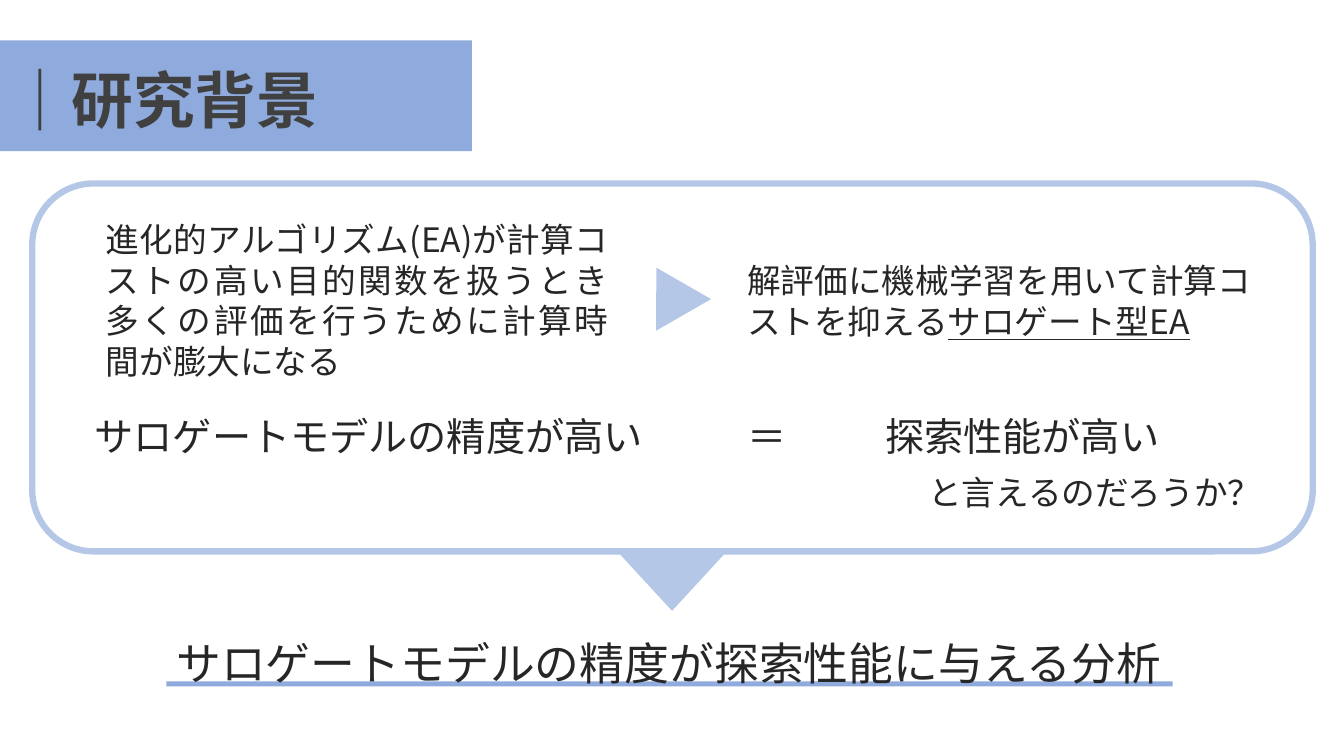
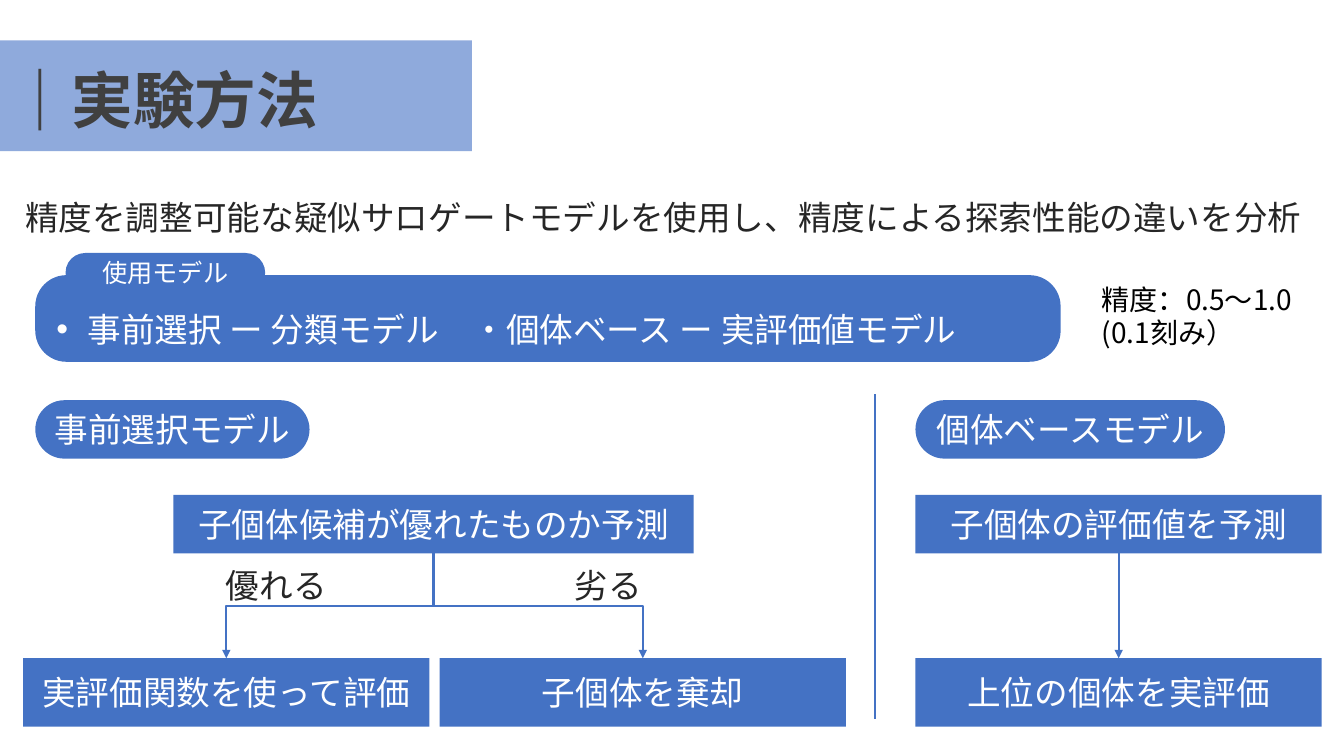
from lxml.etree import SubElement
from pptx import Presentation
from pptx.dml.color import RGBColor
from pptx.enum.shapes import MSO_CONNECTOR, MSO_SHAPE
from pptx.enum.text import MSO_ANCHOR, MSO_AUTO_SIZE, PP_ALIGN
from pptx.oxml.ns import qn
from pptx.util import Inches, Pt

FONT = "Noto Sans CJK JP"
COLORS = {
    "band": "8FAADC",
    "pale": "B4C7E7",
    "box": "4472C4",
    "title": "404040",
    "text": "262626",
    "black": "000000",
    "white": "FFFFFF",
}
COLUMNS, ROWS = 133.3, 75
CELL = Inches(0.1)
BOTTOM_SITE, TOP_SITE = 2, 0


def cells(*counts):
    return [round(count * CELL) for count in counts]


def rgb(name):
    return RGBColor.from_string(COLORS[name])


class Deck:
    def __init__(self):
        self.presentation = Presentation()
        self.presentation.slide_width, self.presentation.slide_height = cells(COLUMNS, ROWS)
        self.slide = None

    def new_slide(self, title):
        self.slide = self.presentation.slides.add_slide(self.presentation.slide_layouts[6])
        self.shape(MSO_SHAPE.RECTANGLE, (0, 4, 46.8, 11), "band")
        self.text((0, 4.8, 33.1, 11), title, 44, "title", align=PP_ALIGN.JUSTIFY,
                  spacing=0.9, anchor=MSO_ANCHOR.MIDDLE, bold=True, wrap=True, grow=False)

    def shape(self, kind, area, fill=None, line=None, rotation=0, corner=None):
        shape = self.slide.shapes.add_shape(kind, *cells(*area))
        shape.shadow.inherit = False
        shape.rotation = rotation
        if corner is not None:
            shape.adjustments[0] = corner
        if fill:
            shape.fill.solid()
            shape.fill.fore_color.rgb = rgb(fill)
        else:
            shape.fill.background()
        if line:
            shape.line.color.rgb = rgb(line)
            shape.line.width = Pt(4.5)
        else:
            shape.line.fill.background()
        return shape

    def style_run(self, run, size, color, bold=False, underline=None):
        run.font.size = Pt(size)
        run.font.bold = bold
        run.font.underline = underline
        run.font.name = FONT
        run.font.color.rgb = rgb(color)
        SubElement(run.font._element, qn("a:ea")).set("typeface", FONT)

    def put_text(self, shape, text, size, color, align=PP_ALIGN.LEFT, spacing=None,
                 anchor=MSO_ANCHOR.TOP, margins=(1, 0.5, 1, 0.5), bold=False):
        frame = shape.text_frame
        frame.text = text
        frame.vertical_anchor = anchor
        (frame.margin_left, frame.margin_top,
         frame.margin_right, frame.margin_bottom) = cells(*margins)
        for paragraph in frame.paragraphs:
            paragraph.alignment = align
            paragraph.line_spacing = spacing
            for run in paragraph.runs:
                self.style_run(run, size, color, bold)

    def text(self, area, text, size, color="text", wrap=False, grow=True, **style):
        shape = self.slide.shapes.add_textbox(*cells(*area))
        self.put_text(shape, text, size, color, **style)
        shape.text_frame.word_wrap = wrap
        shape.text_frame.auto_size = (
            MSO_AUTO_SIZE.SHAPE_TO_FIT_TEXT if grow else MSO_AUTO_SIZE.NONE)
        return shape

    def body(self, area, text, underlined=""):
        shape = self.text(area, text, 24, wrap=True, align=PP_ALIGN.JUSTIFY,
                          spacing=Pt(29), margins=(0, 0, 0, 0))
        if underlined:
            run = shape.text_frame.paragraphs[0].add_run()
            run.text = underlined
            self.style_run(run, 24, "text", underline=True)

    def box(self, area, text, size=24, corner=0, margins=(1, 0.5, 1, 0.5)):
        kind = MSO_SHAPE.ROUNDED_RECTANGLE if corner else MSO_SHAPE.RECTANGLE
        shape = self.shape(kind, area, "box", corner=corner or None)
        self.put_text(shape, text, size, "white", align=PP_ALIGN.CENTER,
                      anchor=MSO_ANCHOR.MIDDLE, margins=margins)
        return shape

    def pill(self, area, text):
        return self.box(area, text, corner=0.5, margins=(1, 1.2, 1, 1.2))

    def bullet_box(self, area, text):
        shape = self.shape(MSO_SHAPE.ROUNDED_RECTANGLE, area, "box", corner=0.36)
        self.put_text(shape, text, 24, "white", spacing=1.5,
                      anchor=MSO_ANCHOR.MIDDLE, margins=(1.2, 0, 0, 0))
        properties = shape.text_frame.paragraphs[0]._element.get_or_add_pPr()
        indent = Inches(0.31)
        properties.set("marL", str(indent))
        properties.set("indent", str(-indent))
        SubElement(properties, qn("a:buFont")).set("typeface", "Arial")
        SubElement(properties, qn("a:buChar")).set("char", "•")

    def line(self, start=(0, 0), end=(0, 0), kind=MSO_CONNECTOR.STRAIGHT, arrow=False):
        connector = self.slide.shapes.add_connector(kind, *cells(*start, *end))
        connector.line.color.rgb = rgb("box")
        connector.line.width = Pt(1.5)
        properties = connector.element.spPr
        if arrow:
            SubElement(properties.find(qn("a:ln")), qn("a:tailEnd")).set("type", "triangle")
        SubElement(properties, qn("a:effectLst"))
        return connector

    def arrow(self, upper, lower, kind=MSO_CONNECTOR.STRAIGHT):
        connector = self.line(kind=kind, arrow=True)
        connector.begin_connect(upper, BOTTOM_SITE)
        connector.end_connect(lower, TOP_SITE)
        return connector

    def branch(self, upper, lower):
        connector = self.arrow(upper, lower, MSO_CONNECTOR.ELBOW)
        leftward = connector.begin_x > connector.end_x
        width, height = connector.width, connector.height
        connector.left += (width - height) // 2
        connector.top += (height - width) // 2
        connector.width, connector.height = height, width
        frame = connector.element.spPr.find(qn("a:xfrm"))
        frame.set("rot", str((90 if leftward else 270) * 60000))
        frame.set("flipH", "0" if leftward else "1")


def build_background(deck):
    deck.new_slide("｜研究背景")
    deck.shape(MSO_SHAPE.RECTANGLE, (16.5, 67.6, 99.8, 0.5), "band")
    deck.body((10.5, 21.7, 49.8, 16.1),
              "進化的アルゴリズム(EA)が計算コストの高い目的関数を扱うとき多くの評価を行うために計算時間が膨大になる")
    deck.body((74.1, 25.8, 50, 7.9), "解評価に機械学習を用いて計算コストを抑える", "サロゲート型EA")
    deck.shape(MSO_SHAPE.ISOSCELES_TRIANGLE, (63.3, 26.2, 6.3, 5.4), "pale", rotation=330.1)
    for left, width, text in (
        (8.4, 57, "サロゲートモデルの精度が高い"),
        (73.2, 5.9, "＝"),
        (86.8, 29.5, "探索性能が高い"),
    ):
        deck.text((left, 40.4, width, 5.7), text, 28)
    deck.text((91.1, 46.3, 35.7, 5), "と言えるのだろうか？", 24)
    deck.text((16.5, 62.6, 100.8, 6.4), "サロゲートモデルの精度が探索性能に与える分析", 32)
    deck.shape(MSO_SHAPE.ISOSCELES_TRIANGLE, (61.4, 54.9, 10.5, 5.7), "pale", rotation=180)
    deck.shape(MSO_SHAPE.ROUNDED_RECTANGLE, (3.2, 18.2, 127, 36.5), line="pale")


def build_method(deck):
    deck.new_slide("｜実験方法")
    deck.body((2.5, 19.5, 128.4, 3.9),
              "精度を調整可能な疑似サロゲートモデルを使用し、精度による探索性能の違いを分析")
    deck.bullet_box((3.5, 27.3, 101.7, 8.6),
                    "事前選択 ー 分類モデル　・個体ベース ー 実評価値モデル　")
    deck.box((6.5, 25.1, 19.8, 3.9), "使用モデル", size=18, corner=0.5)
    deck.text((108.3, 27.5, 25, 7.7), "精度：0.5〜1.0　\n(0.1刻み）", 20, "black")

    deck.pill((3.5, 39.7, 27.2, 5.8), "事前選択モデル")
    deck.pill((90.8, 39.7, 30.7, 5.8), "個体ベースモデル")
    deck.line((86.8, 39.1), (86.8, 71.3))

    step_top, step_height = 49.1, 5.8
    result_top, result_height, result_width = 65.3, 6.8, 40.3
    judge = deck.box((17.2, step_top, 51.6, step_height), "子個体候補が優れたものか予測")
    predict = deck.box((90.8, step_top, result_width, step_height), "子個体の評価値を予測")
    evaluate, discard, select = [
        deck.box((left, result_top, result_width, result_height), text)
        for left, text in (
            (2.3, "実評価関数を使って評価"),
            (43.6, "子個体を棄却"),
            (90.8, "上位の個体を実評価"),
        )
    ]
    deck.branch(judge, evaluate)
    deck.branch(judge, discard)
    deck.arrow(predict, select)
    for left, width, text in ((22.4, 10.1, "優れる"), (57, 6.7, "劣る")):
        deck.text((left, 56, width, 4), text, 24, margins=(0, 0, 0, 0))


def main():
    deck = Deck()
    build_background(deck)
    build_method(deck)
    deck.presentation.save("out.pptx")


if __name__ == "__main__":
    main()
